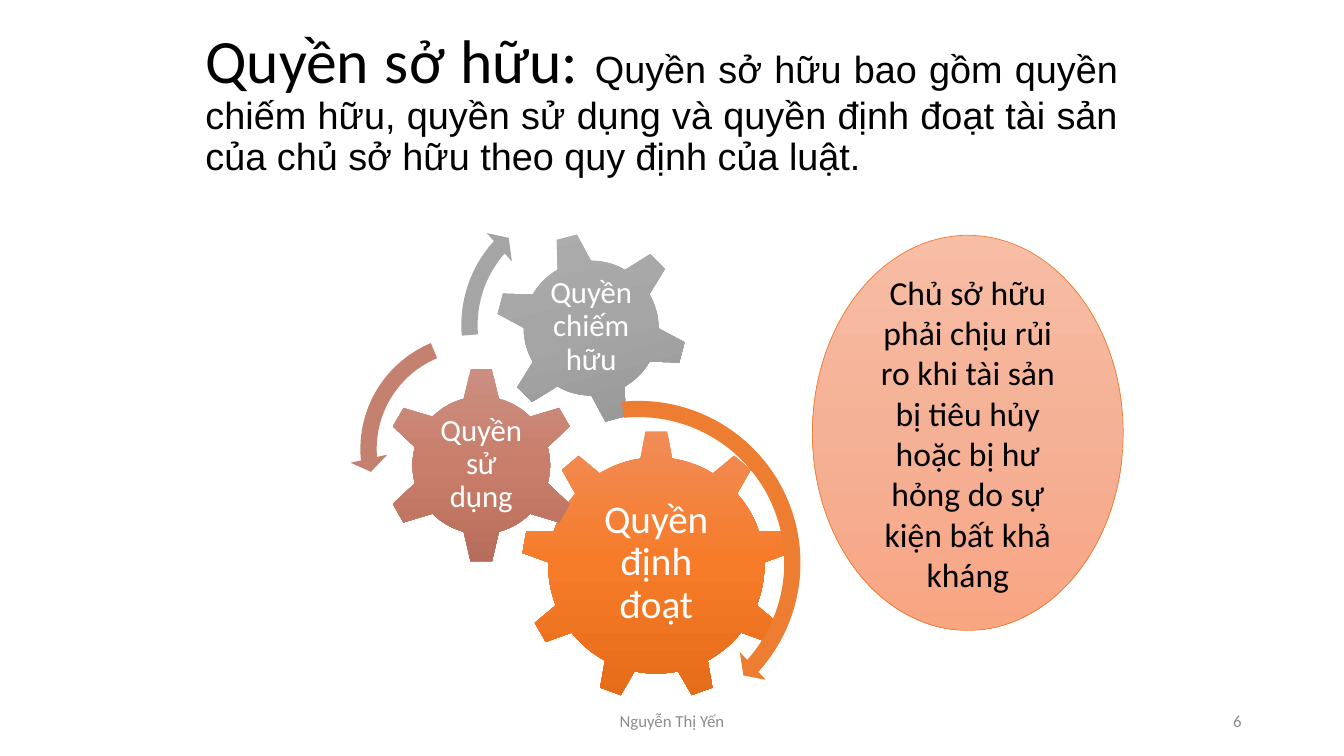
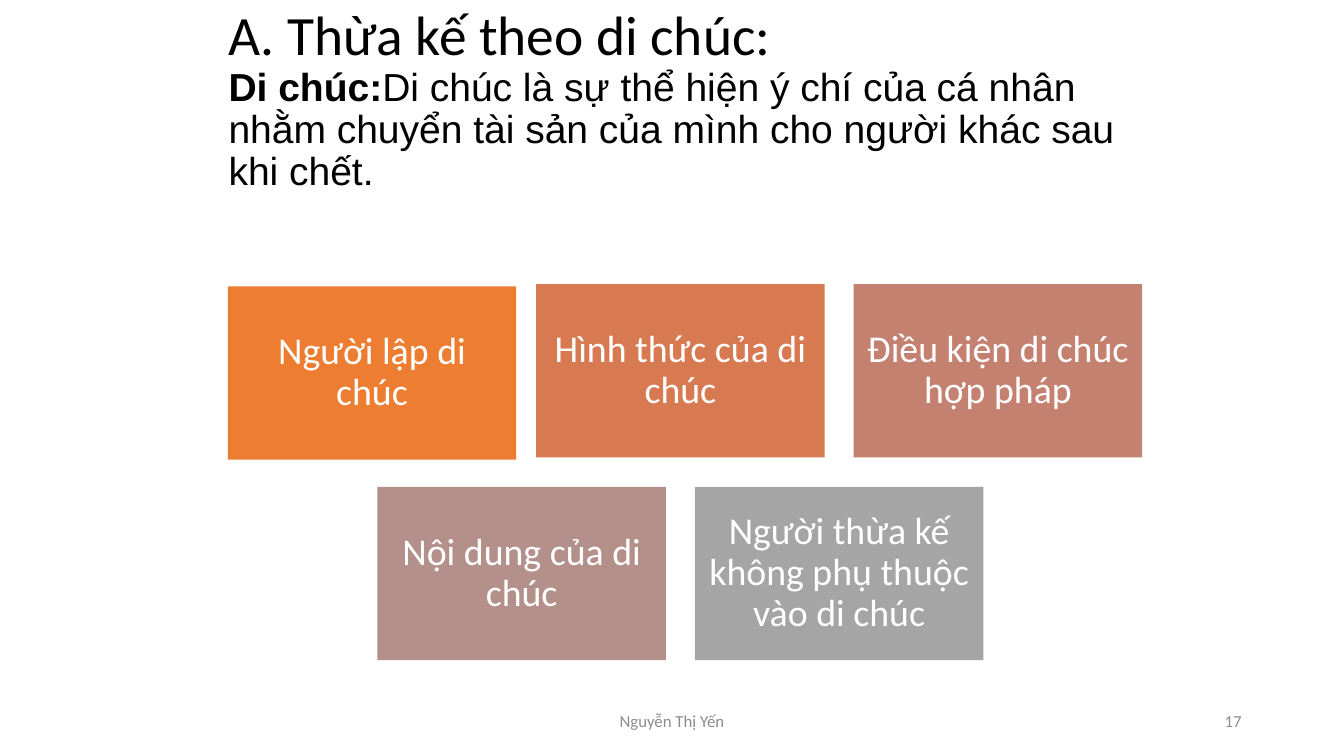
"""Build two slides on ownership rights and inheritance by will."""
from copy import deepcopy
from dataclasses import dataclass

from pptx import Presentation
from pptx.dml.color import RGBColor
from pptx.enum import shapes, text
from pptx.oxml.ns import qn
from pptx.util import Pt


@dataclass(frozen=True)
class Theme:
    body: str = "Calibri"
    serifless: str = "Arial"
    black: str = "000000"
    white: str = "FFFFFF"
    muted: str = "8C8C8C"
    orange: str = "ED7D31"
    copper: str = "D87A51"
    clay: str = "C48170"
    mauve: str = "B4908B"
    gray: str = "A5A5A5"
    orange_fade: tuple = ("F18C57", "F67B28", "E56C19")
    clay_fade: tuple = ("CB8F81", "C97E6B", "B76D5B")
    gray_fade: tuple = ("AFAFAF", "A5A5A5", "939393")
    peach_fade: tuple = ("F7BDA5", "F5B196", "F8A582")
    heading: float = 44
    subheading: float = 39.6
    definition: float = 27
    will_definition: float = 27.9
    card: float = 27
    large_gear: float = 28
    small_gear: float = 22
    note: float = 24
    footer: float = 12


theme = Theme()
kinds = shapes.MSO_SHAPE
align = text.PP_ALIGN


def add_figure(slide, kind, box, fill, rotation=0, adjustments=()):
    """Add a preset shape with a solid colour or a three-stop vertical fade."""
    shape = slide.shapes.add_shape(kind, *map(Pt, box))
    shape.shadow.inherit = False
    shape.line.fill.background()
    shape.rotation = rotation
    for index, value in enumerate(adjustments):
        shape.adjustments[index] = value
    if isinstance(fill, str):
        shape.fill.solid()
        shape.fill.fore_color.rgb = RGBColor.from_string(fill)
        return shape
    shape.fill.gradient()
    shape.fill.gradient_angle = 270
    stops = shape._element.spPr.find(qn("a:gradFill")).find(qn("a:gsLst"))
    stops.insert(1, deepcopy(stops[0]))
    for stop, position, color in zip(shape.fill.gradient_stops, (0, 0.5, 1), fill):
        stop.position = position
        stop.color.rgb = RGBColor.from_string(color)
    return shape


def write(shape, paragraphs, color, alignment, spacing=1.0, inset=None):
    """Fill a shape with paragraphs of (text, size, font, bold) runs."""
    frame = shape.text_frame
    frame.word_wrap = True
    frame.vertical_anchor = text.MSO_ANCHOR.MIDDLE
    if inset is not None:
        frame.margin_left = frame.margin_right = Pt(inset)
        frame.margin_top = frame.margin_bottom = Pt(inset)
    for index, runs in enumerate(paragraphs):
        paragraph = frame.add_paragraph() if index else frame.paragraphs[0]
        paragraph.alignment = alignment
        paragraph.line_spacing = spacing
        for words, size, font, bold in runs:
            run = paragraph.add_run()
            run.text = words
            run.font.size = Pt(size)
            run.font.name = font
            run.font.bold = bold
            run.font.color.rgb = RGBColor.from_string(color)


presentation = Presentation()
presentation.slide_width = Pt(960)
presentation.slide_height = Pt(540)

pages = [
    ("6", (139.7, 10.8, 666, 128.2), align.JUSTIFY, [[
        ("Quyền sở hữu: ", theme.heading, theme.body, False),
        ("Quyền sở hữu bao gồm quyền chiếm hữu, quyền sử dụng và quyền định đoạt "
         "tài sản của chủ sở hữu theo quy định của luật.",
         theme.definition, theme.serifless, False),
    ]]),
    ("17", (156.2, 3, 671.8, 138), align.LEFT, [
        [("A. Thừa kế theo di chúc:", theme.subheading, theme.body, False)],
        [("Di chúc:", theme.will_definition, theme.serifless, True),
         ("Di chúc là sự thể hiện ý chí của cá nhân nhằm chuyển tài sản của mình "
          "cho người khác sau khi chết.",
          theme.will_definition, theme.serifless, False)],
    ]),
]
slides = []
for number, title_box, title_alignment, title in pages:
    slide = presentation.slides.add_slide(presentation.slide_layouts[6])
    slides.append(slide)
    title_shape = slide.shapes.add_textbox(*map(Pt, title_box))
    write(title_shape, title, theme.black, title_alignment, 0.9)
    for words, left, width, alignment in (
        ("Nguyễn Thị Yến", 318, 324, align.CENTER),
        (number, 678, 216, align.RIGHT),
    ):
        footer = slide.shapes.add_textbox(Pt(left), Pt(500.5), Pt(width), Pt(28.8))
        write(footer, [[(words, theme.footer, theme.body, False)]], theme.muted, alignment)

ownership, inheritance = slides

gears = [
    ("Quyền định đoạt", kinds.GEAR_9, (372.3, 307.4, 193, 193), 0, theme.orange_fade,
     (411.1, 352.7, 115.3, 99.2), theme.large_gear, 2.8),
    ("Quyền sử dụng", kinds.GEAR_6, (273.6, 262.1, 140.4, 140.4), 0, theme.clay_fade,
     (308.9, 297.4, 69.8, 69.1), theme.small_gear, 2.2),
    ("Quyền chiếm hữu", kinds.GEAR_6, (353.5, 165.6, 137.5, 137.5), 345, theme.gray_fade,
     (383.8, 195.1, 77, 77), theme.small_gear, 2.2),
]
for words, kind, box, rotation, fade, label_box, size, inset in gears:
    add_figure(ownership, kind, box, fade, rotation)
    label = ownership.shapes.add_textbox(*map(Pt, label_box))
    write(label, [[(words, size, theme.body, False)]], theme.white, align.CENTER, 0.9, inset)

arrows = [
    (kinds.CIRCULAR_ARROW, (332.6, 278.6, 247, 247), theme.orange,
     (0.047, 2.99, 25.22, 158.487, 0.055)),
    (kinds.LEFT_CIRCULAR_ARROW, (249.8, 231.1, 179.3, 179.3), theme.clay,
     (0.065, 4.3, 104.891, 148.378, 0.075)),
    (kinds.CIRCULAR_ARROW, (321.8, 135.4, 193.7, 193.7), theme.gray,
     (0.06, 3.941, 133.138, 105.082, 0.07)),
]
for kind, box, color, adjustments in arrows:
    add_figure(ownership, kind, box, color, adjustments=adjustments)

risk_note = add_figure(ownership, kinds.OVAL, (580.3, 168.1, 222, 282.2), theme.peach_fade)
risk_note.line.color.rgb = RGBColor.from_string(theme.orange)
risk_note.line.width = Pt(0.5)
write(risk_note, [[(
    "Chủ sở hữu phải chịu rủi ro khi tài sản bị tiêu hủy hoặc bị hư hỏng "
    "do sự kiện bất khả kháng", theme.note, theme.body, False)]],
    theme.black, align.CENTER)

card_width, card_height, card_gap, row_gap = 206, 123.8, 20.8, 21
card_pitch = card_width + card_gap
first_left, first_top = 156.2, 203
cards = [
    ("Người lập di chúc", theme.orange, 0, 0, 6.5, 1.5),
    ("Hình thức của di chúc", theme.copper, 1, 0, 0, 0),
    ("Điều kiện di chúc hợp pháp", theme.clay, 2, 0, 0, 0),
    ("Nội dung của di chúc", theme.mauve, 0.5, 1, 0, 0),
    ("Người thừa kế không phụ thuộc vào di chúc", theme.gray, 1.5, 1, 0, 0),
]
for words, color, column, row, shift_x, shift_y in cards:
    left = first_left + column * card_pitch + shift_x
    top = first_top + row * (card_height + row_gap) + shift_y
    card = add_figure(inheritance, kinds.RECTANGLE, (left, top, card_width, card_height), color)
    write(card, [[(words, theme.card, theme.body, False)]], theme.white, align.CENTER, 0.9, 8)

presentation.save("out.pptx")
